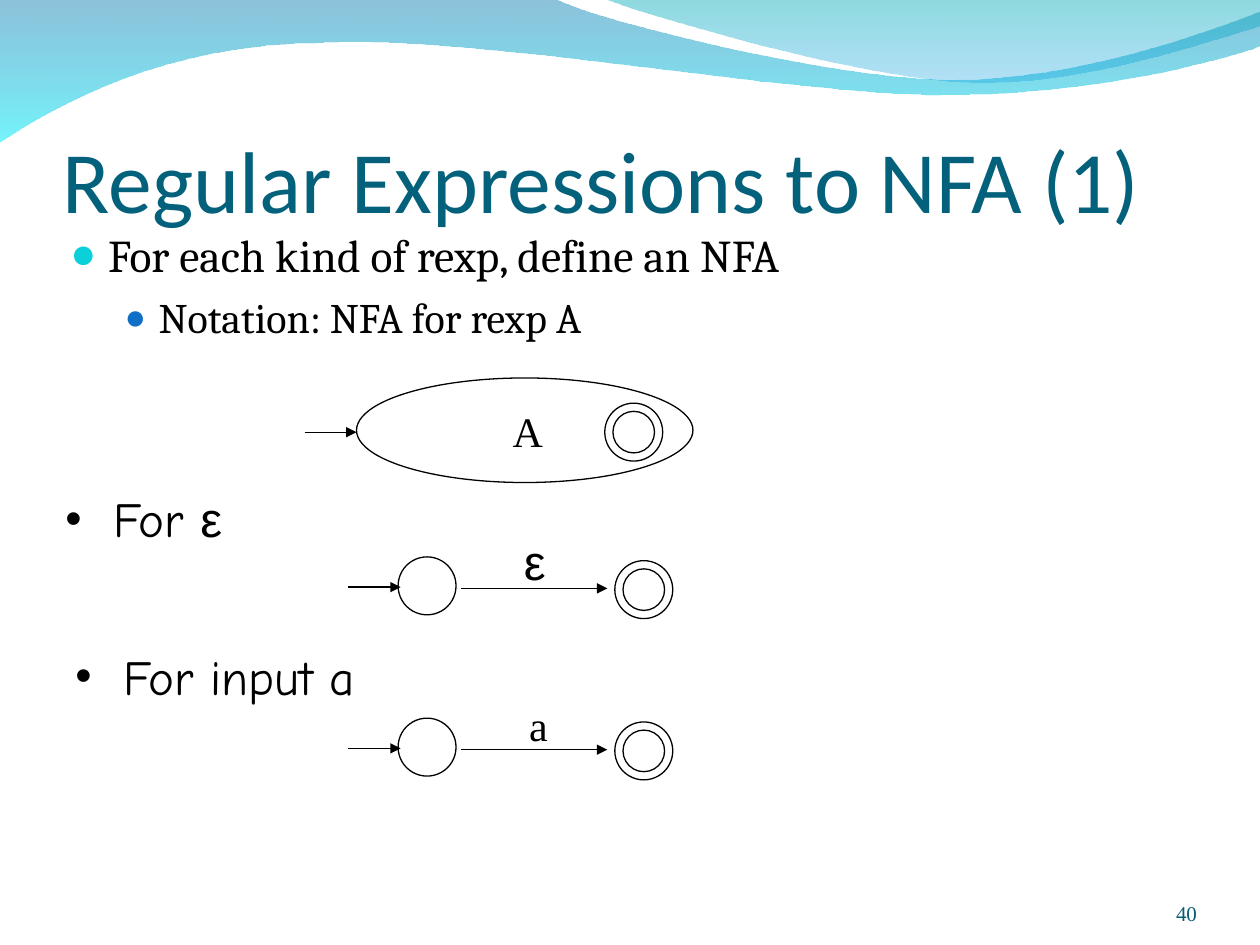
from lxml import etree
from pptx import Presentation
from pptx.dml.color import RGBColor
from pptx.enum import shapes, text
from pptx.oxml.ns import qn
from pptx.util import Inches, Pt

BLACK = RGBColor(0x00, 0x00, 0x00)
TITLE = RGBColor(0x04, 0x61, 0x7B)
NUMBER = RGBColor(0x04, 0x5C, 0x75)
CYAN = RGBColor(0x0B, 0xD0, 0xD9)
BLUE = RGBColor(0x0F, 0x6F, 0xC6)
WAVE_TOP, WAVE_BOTTOM = RGBColor(0x00, 0x79, 0xAF), RGBColor(0x00, 0xEB, 0xF8)
CREST_TOP, CREST_BOTTOM = RGBColor(0x00, 0xAD, 0xB6), RGBColor(0x00, 0x9B, 0xE5)
INSETS = (0.1, 0.05, 0.1, 0.05)
STATE = 0.46
INNER_STATE = 0.33


def add_wave(page, start, segments, stops):
    """Segments hold one point for a line or three for a Bezier curve."""
    builder = page.shapes.build_freeform(*map(Inches, start))
    builder.add_line_segments(
        [(Inches(x), Inches(y)) for segment in segments for x, y in segment],
        close=True)
    wave = builder.convert_to_shape()
    wave.shadow.inherit = False
    wave.line.fill.background()

    # Join the three points of each curve into one cubic segment
    lines = iter(list(wave._element.spPr.iter(qn("a:lnTo"))))
    for segment in segments:
        parts = [next(lines) for _ in segment]
        if len(parts) == 3:
            cubic = etree.Element(qn("a:cubicBezTo"))
            parts[0].addprevious(cubic)
            for part in parts:
                cubic.append(part[0])
                part.getparent().remove(part)

    # Translucent gradient from top to bottom
    wave.fill.gradient()
    wave.fill.gradient_angle = 270
    for stop, (position, color, _) in zip(wave.fill.gradient_stops, stops):
        stop.position = position
        stop.color.rgb = color
    elements = wave._element.spPr.iter(qn("a:srgbClr"))
    for element, (_, _, opacity) in zip(elements, stops):
        etree.SubElement(element, qn("a:alpha"), val=str(opacity * 1000))


def add_text_box(page, x, y, width, height, insets=INSETS, anchor="TOP", wrap=True):
    box = page.shapes.add_textbox(
        Inches(x), Inches(y), Inches(width), Inches(height))
    frame = box.text_frame
    frame.word_wrap = wrap
    frame.vertical_anchor = text.MSO_ANCHOR[anchor]
    (frame.margin_left, frame.margin_top,
     frame.margin_right, frame.margin_bottom) = map(Inches, insets)
    return frame


def add_span(para, words, size, font, color=BLACK):
    span = para.add_run()
    span.text = words
    span.font.size = Pt(size)
    span.font.name = font
    span.font.color.rgb = color


def set_bullet(para, mark, color, percent, left, hanging):
    properties = para._p.get_or_add_pPr()
    properties.set("marL", str(Inches(left)))
    properties.set("indent", str(-Inches(hanging)))
    fill = etree.SubElement(properties, qn("a:buClr"))
    etree.SubElement(fill, qn("a:srgbClr"), val=str(color))
    etree.SubElement(properties, qn("a:buSzPct"), val=str(percent * 1000))
    etree.SubElement(properties, qn("a:buFont"), typeface="Arial")
    etree.SubElement(properties, qn("a:buChar"), char=mark)


def add_heading(page, x, y, *spans):
    para = add_text_box(page, x, y, 9.08, 0.67).paragraphs[0]
    set_bullet(para, "•", BLACK, 95, 0.38, 0.38)
    for words, font in spans:
        add_span(para, words, 28, font)


def add_label(group, x, y, width, height, words, size, font):
    frame = add_text_box(group, x, y, width, height, wrap=False)
    frame.auto_size = text.MSO_AUTO_SIZE.SHAPE_TO_FIT_TEXT
    add_span(frame.paragraphs[0], words, size, font)


def add_ellipse(group, x, y, width, height):
    ellipse = group.shapes.add_shape(
        shapes.MSO_SHAPE.OVAL, Inches(x), Inches(y), Inches(width), Inches(height))
    ellipse.shadow.inherit = False
    ellipse.fill.background()
    ellipse.line.color.rgb = BLACK
    ellipse.line.width = Pt(0.75)


def add_final_state(group, x, y):
    gap = (STATE - INNER_STATE) / 2
    add_ellipse(group, x + gap, y + gap, INNER_STATE, INNER_STATE)
    add_ellipse(group, x, y, STATE, STATE)


def add_arrow(group, start, end, y):
    arrow = group.shapes.add_connector(
        shapes.MSO_CONNECTOR.STRAIGHT, Inches(start), Inches(y), Inches(end), Inches(y))
    arrow.line.color.rgb = BLACK
    arrow.line.width = Pt(0.75)
    etree.SubElement(arrow.line._get_or_add_ln(), qn("a:tailEnd"), type="triangle")
    etree.SubElement(arrow._element.spPr, qn("a:effectLst"))


def add_transition(page, y, *label):
    """Start state, labelled arrow and final state; y is the start state's top."""
    group = page.shapes.add_group_shape()
    add_arrow(group, 2.76, 3.18, y + 0.24)
    add_final_state(group, 4.88, y + 0.03)
    add_ellipse(group, 3.16, y, STATE, STATE)
    add_arrow(group, 3.66, 4.82, y + 0.25)
    add_label(group, *label)


def add_waves(page):
    add_wave(page, (0, -0.01), [
        [(4.4, -0.01)],
        [(4.76, 0.17), (6.64, 0.63), (7.58, 0.63)],
        [(8.53, 0.63), (9.58, 0.26), (10, 0.09)],
        [(10.01, 0.36)],
        [(9.83, 0.44), (8.7, 0.76), (7.46, 0.75)],
        [(6.22, 0.75), (3.82, 0.28), (2.57, 0.34)],
        [(1.29, 0.35), (0.46, 0.83), (-0.01, 1.13)],
    ], [(0, WAVE_TOP, 45), (1, WAVE_BOTTOM, 55)])
    add_wave(page, (4.79, -0.01), [
        [(5.09, 0.11), (6.82, 0.62), (7.69, 0.65)],
        [(8.56, 0.69), (9.61, 0.32), (10, 0.21)],
        [(10, 0)],
    ], [(0, CREST_TOP, 45), (1, CREST_BOTTOM, 30)])


def add_intro(page):
    frame = add_text_box(page, 0.46, 1.75, 9.08, 1.08)
    para = frame.paragraphs[0]
    set_bullet(para, "●", CYAN, 95, 0.3, 0.3)
    add_span(para, "For each kind of rexp, define an NFA", 26, "Cambria")
    para = frame.add_paragraph()
    para.level = 1
    set_bullet(para, "●", BLUE, 85, 0.7, 0.27)
    para.space_before = Pt(6)
    add_span(para, "Notation: NFA for rexp A", 24, "Cambria")


def add_notation(page):
    group = page.shapes.add_group_shape()
    add_ellipse(group, 2.83, 3, 2.67, 0.83)
    add_label(group, 3.97, 3.17, 0.44, 0.5, "A", 24, "Times New Roman")
    add_arrow(group, 2.42, 2.83, 3.43)
    add_final_state(group, 4.8, 3.2)


def main():
    deck = Presentation()
    deck.slide_width, deck.slide_height = Inches(10), Inches(7.5)
    page = deck.slides.add_slide(deck.slide_layouts[6])
    add_waves(page)

    # Page number and title
    number = add_text_box(page, 8.67, 6.95, 0.83, 0.4, (0, 0, 0, 0), "BOTTOM")
    number.paragraphs[0].alignment = text.PP_ALIGN.RIGHT
    add_span(number.paragraphs[0], "40", 12, "Times New Roman", NUMBER)
    title = add_text_box(page, 0.5, 0.58, 9, 1.25, (0, 0.05, 0, 0), "BOTTOM")
    add_span(title.paragraphs[0], "Regular Expressions to NFA (1)", 50, "Calibri", TITLE)

    # Introduction and notation
    add_intro(page)
    add_notation(page)

    # NFA for the empty string
    add_heading(page, 0.42, 3.83, ("For ", "Comic Neue"), ("ε", "Arial"))
    add_transition(page, 4.42, 4.06, 4.17, 0.37, 0.57, "ε", 28, "Arial")

    # NFA for one input symbol
    add_heading(page, 0.5, 5.08, ("For input a", "Comic Neue"))
    add_transition(page, 5.7, 4.1, 5.5, 0.35, 0.5, "a", 24, "Times New Roman")

    deck.save("out.pptx")


if __name__ == "__main__":
    main()
